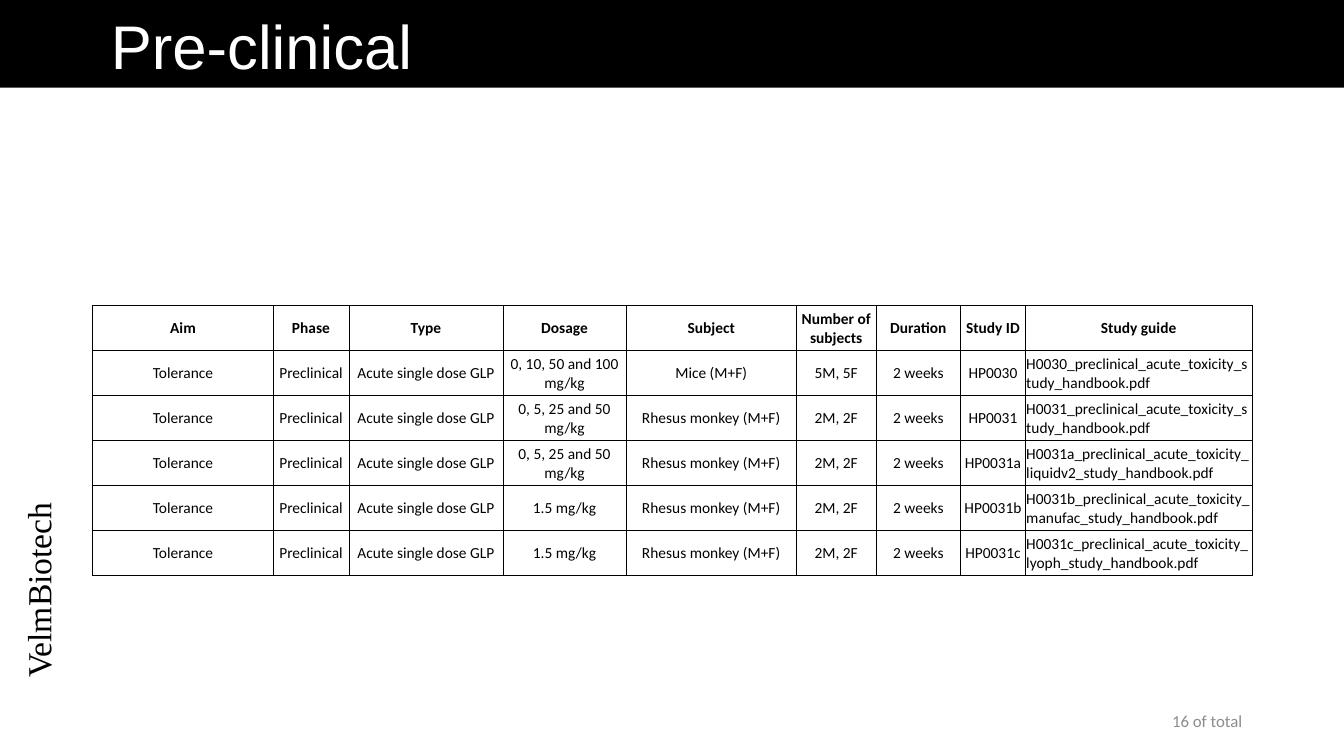
"""Build the pre-clinical studies slide."""
from lxml import etree
from pptx import Presentation
from pptx.dml.color import RGBColor
from pptx.enum import text as t
from pptx.oxml import ns
from pptx.util import Inches, Pt

BLACK = RGBColor(0x00, 0x00, 0x00)
WHITE = RGBColor(0xFF, 0xFF, 0xFF)
GREY = RGBColor(0x8C, 0x8C, 0x8C)


def write(frame, content, size, font="Calibri", color=BLACK, bold=False,
          align=t.PP_ALIGN.CENTER, anchor=t.MSO_ANCHOR.MIDDLE, spacing=None):
    frame.word_wrap = True
    frame.vertical_anchor = anchor
    paragraph = frame.paragraphs[0]
    paragraph.alignment = align
    paragraph.line_spacing = spacing
    run = paragraph.add_run()
    run.text = content
    run.font.size = Pt(size)
    run.font.name = font
    run.font.bold = bold
    run.font.color.rgb = color


def add_borders(cell):
    properties = cell._tc.get_or_add_tcPr()
    for side in ("a:lnL", "a:lnR", "a:lnT", "a:lnB"):
        line = etree.SubElement(properties, ns.qn(side), w=str(Pt(0.5)))
        fill = etree.SubElement(line, ns.qn("a:solidFill"))
        etree.SubElement(fill, ns.qn("a:srgbClr"), val=str(BLACK))


presentation = Presentation()
presentation.slide_width = Inches(13.33)
presentation.slide_height = Inches(7.5)
slide = presentation.slides.add_slide(presentation.slide_layouts[5])

title = slide.shapes.title
title.left, title.top = Inches(0), Inches(0)
title.width, title.height = Inches(13.33), Inches(0.87)
title.fill.solid()
title.fill.fore_color.rgb = BLACK
title.text_frame.auto_size = t.MSO_AUTO_SIZE.NONE
title.text_frame.margin_left = Inches(1.1)
write(title.text_frame, "Pre-clinical", 44, font="Arial", color=WHITE,
      align=t.PP_ALIGN.LEFT, anchor=t.MSO_ANCHOR.BOTTOM, spacing=0.9)

headers = ("Aim", "Phase", "Type", "Dosage", "Subject", "Number of subjects",
           "Duration", "Study ID", "Study guide")
column_widths = (1.79, 0.75, 1.53, 1.22, 1.69, 0.79, 0.84, 0.64, 2.25)
studies = (
    ("0, 10, 50 and 100 mg/kg", "Mice (M+F)", "5M, 5F", "0030", "toxicity"),
    ("0, 5, 25 and 50 mg/kg", "Rhesus monkey (M+F)", "2M, 2F", "0031", "toxicity"),
    ("0, 5, 25 and 50 mg/kg", "Rhesus monkey (M+F)", "2M, 2F", "0031a", "toxicity_liquidv2"),
    ("1.5 mg/kg", "Rhesus monkey (M+F)", "2M, 2F", "0031b", "toxicity_manufac"),
    ("1.5 mg/kg", "Rhesus monkey (M+F)", "2M, 2F", "0031c", "toxicity_lyoph"),
)
rows = [headers]
for dosage, subject, count, number, topic in studies:
    rows.append(("Tolerance", "Preclinical", "Acute single dose GLP", dosage, subject,
                 count, "2 weeks", f"HP{number}",
                 f"H{number}_preclinical_acute_{topic}_study_handbook.pdf"))

table = slide.shapes.add_table(len(rows), len(headers), Inches(0.92), Inches(3.03),
                               Inches(11.5), Inches(2.68)).table
table.horz_banding = False
for column, width in zip(table.columns, column_widths):
    column.width = Inches(width)
for row_index, row in enumerate(rows):
    for column_index, content in enumerate(row):
        cell = table.cell(row_index, column_index)
        add_borders(cell)
        cell.fill.solid()
        cell.fill.fore_color.rgb = WHITE
        cell.margin_left = cell.margin_right = cell.margin_top = Inches(0.01)
        cell.margin_bottom = Inches(0)
        cell.vertical_anchor = t.MSO_ANCHOR.MIDDLE
        is_guide = row_index > 0 and column_index == len(headers) - 1
        write(cell.text_frame, content, 11, bold=row_index == 0, anchor=None,
              align=t.PP_ALIGN.LEFT if is_guide else t.PP_ALIGN.CENTER)

page_number = slide.shapes.add_textbox(Inches(9.42), Inches(6.95), Inches(3), Inches(0.4))
write(page_number.text_frame, "16 of total", 12, color=GREY, align=t.PP_ALIGN.RIGHT)

company = slide.shapes.add_textbox(Inches(-0.61), Inches(5.63), Inches(2.08), Inches(0.45))
company.rotation = 270
write(company.text_frame, "VelmBiotech", 24, font="Times New Roman",
      anchor=t.MSO_ANCHOR.TOP, spacing=0.8)

presentation.save("out.pptx")
